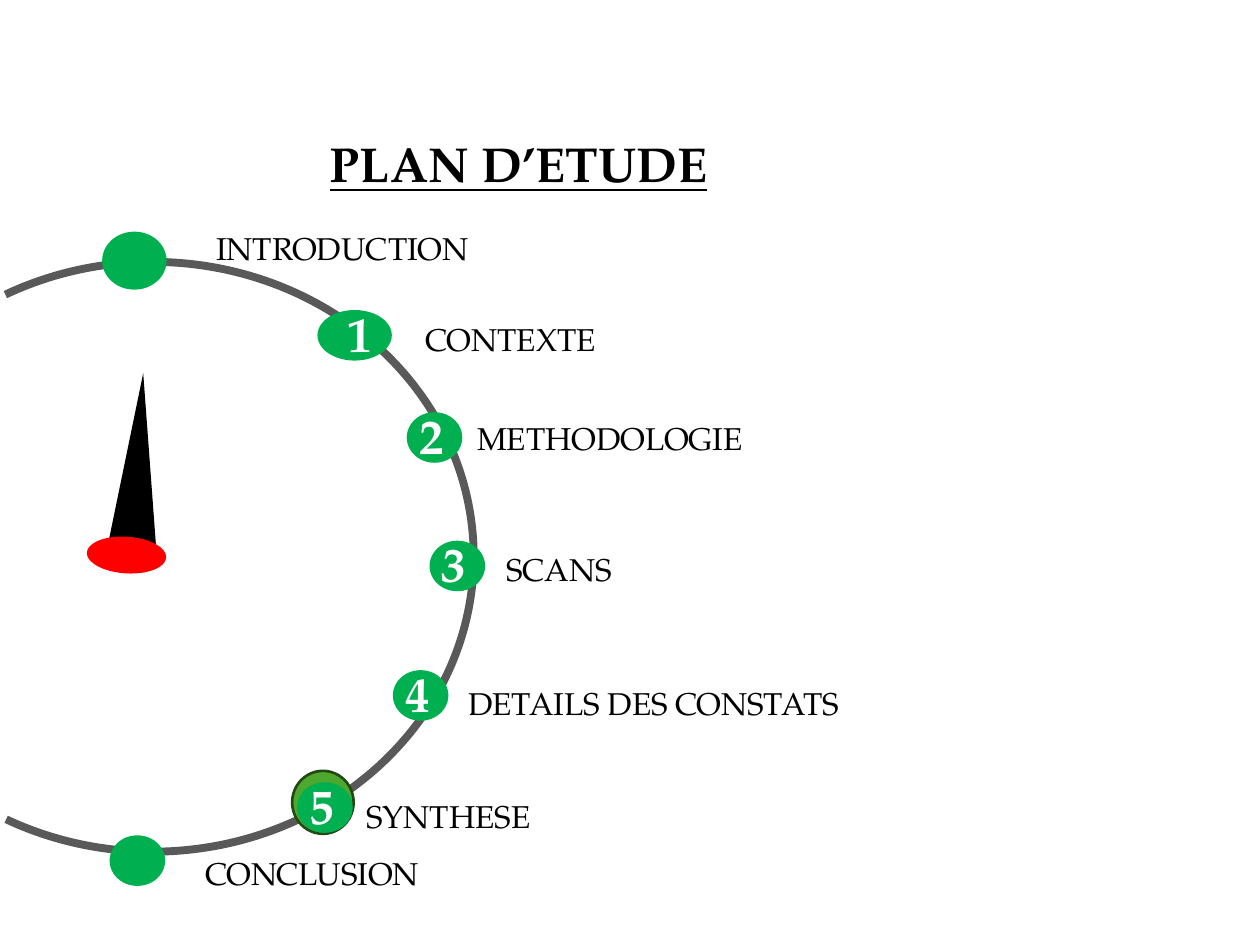
import dataclasses

import pptx
import pptx.dml.color
import pptx.enum.shapes
import pptx.enum.text
import pptx.util

Cm = pptx.util.Cm
Pt = pptx.util.Pt
SHAPE = pptx.enum.shapes.MSO_SHAPE
FONT = "TeX Gyre Pagella"
COLORS = {
    "text": "000000",
    "number": "FFFFFF",
    "dial": "595959",
    "stop": "00B050",
    "needle": "000000",
    "hub": "FF0000",
    "ring": "4EA72E",
    "ring_edge": "224914",
}


@dataclasses.dataclass(frozen=True)
class Box:
    left: float
    top: float
    width: float = 1.12
    height: float = 1.02

    def emu(self) -> tuple:
        return Cm(self.left), Cm(self.top), Cm(self.width), Cm(self.height)


@dataclasses.dataclass(frozen=True)
class Stop:
    label: str
    disc: Box
    label_box: Box
    number: str = ""
    number_shift: float = 0
    number_tilt: float = 0


STOPS = [
    Stop("INTRODUCTION", Box(2.06, 4.67, 1.3, 1.17), Box(4.11, 4.5, 5.64)),
    Stop("CONTEXTE", Box(6.4, 6.25, 1.5), Box(8.33, 6.32, 10.97), "1", 0.36),
    Stop("METHODOLOGIE", Box(8.2, 8.31), Box(9.37, 8.33, 11.79), "2"),
    Stop("SCANS", Box(8.66, 10.9), Box(9.96, 10.97, 13.59), "3", number_tilt=4.9),
    Stop("DETAILS DES CONSTATS", Box(7.92, 13.51), Box(9.19, 13.67, 13.59), "4"),
    Stop("SYNTHESE", Box(5.99, 15.77), Box(7.14, 15.95, 13.59), "5"),
    Stop("CONCLUSION", Box(2.21, 16.84), Box(3.89, 17.09, 5.79)),
]


def rgb(name: str) -> pptx.dml.color.RGBColor:
    return pptx.dml.color.RGBColor.from_string(COLORS[name])


def add_shape(s, kind, box: Box, fill: str = "", line: str = "",
              weight: float = 1, rotation: float = 0):
    sp = s.shapes.add_shape(kind, *box.emu())
    sp.shadow.inherit = False
    sp.rotation = rotation
    if fill:
        sp.fill.solid()
        sp.fill.fore_color.rgb = rgb(fill)
    else:
        sp.fill.background()
    if line:
        sp.line.color.rgb = rgb(line)
        sp.line.width = Pt(weight)
    else:
        sp.line.fill.background()
    return sp


def add_text(s, text: str, box: Box, size: float, color: str = "text",
             bold: bool = False, rotation: float = 0):
    sp = s.shapes.add_textbox(*box.emu())
    sp.rotation = rotation
    tf = sp.text_frame
    tf.word_wrap = True
    tf.text = text
    r = tf.paragraphs[0].runs[0]
    r.font.name = FONT
    r.font.size = Pt(size)
    r.font.bold = bold
    r.font.color.rgb = rgb(color)
    return tf


def add_stop(s, stop: Stop) -> None:
    disc = stop.disc
    add_shape(s, SHAPE.OVAL, disc, "stop")
    if stop.number:
        box = Box(disc.left + stop.number_shift, disc.top - 0.26, 1.12, 1.45)
        add_text(s, stop.number, box, 28, "number", True, stop.number_tilt)
    add_text(s, stop.label, stop.label_box, 18)


def main() -> None:
    """Build the study plan slide with its dial of numbered stops."""
    prs = pptx.Presentation()
    prs.slide_width, prs.slide_height = Cm(25.4), Cm(19.05)
    s = prs.slides.add_slide(prs.slide_layouts[6])

    tf = add_text(s, "PLAN D’ETUDE", Box(6.4, 2.21, 9.07, 2.31), 28, bold=True)
    tf.vertical_anchor = pptx.enum.text.MSO_ANCHOR.MIDDLE
    p = tf.paragraphs[0]
    p.line_spacing = 0.9
    p.runs[0].font.underline = True

    dial = add_shape(s, SHAPE.ARC, Box(-3.4, 5.28, 12.95, 11.89), line="dial", weight=4.5)
    dial.adjustments[0] = 144.42
    dial.adjustments[1] = 71.48

    add_shape(s, SHAPE.ISOSCELES_TRIANGLE, Box(2.26, 7.52, 1.02, 3.66), "needle", rotation=3.7)
    add_shape(s, SHAPE.OVAL, Box(1.75, 10.82, 1.6, 0.74), "hub", rotation=3.7)
    add_shape(s, SHAPE.OVAL, Box(5.89, 15.54, 1.24, 1.27), "ring", "ring_edge", 1.5)

    for stop in STOPS:
        add_stop(s, stop)
    prs.save("out.pptx")


if __name__ == "__main__":
    main()
